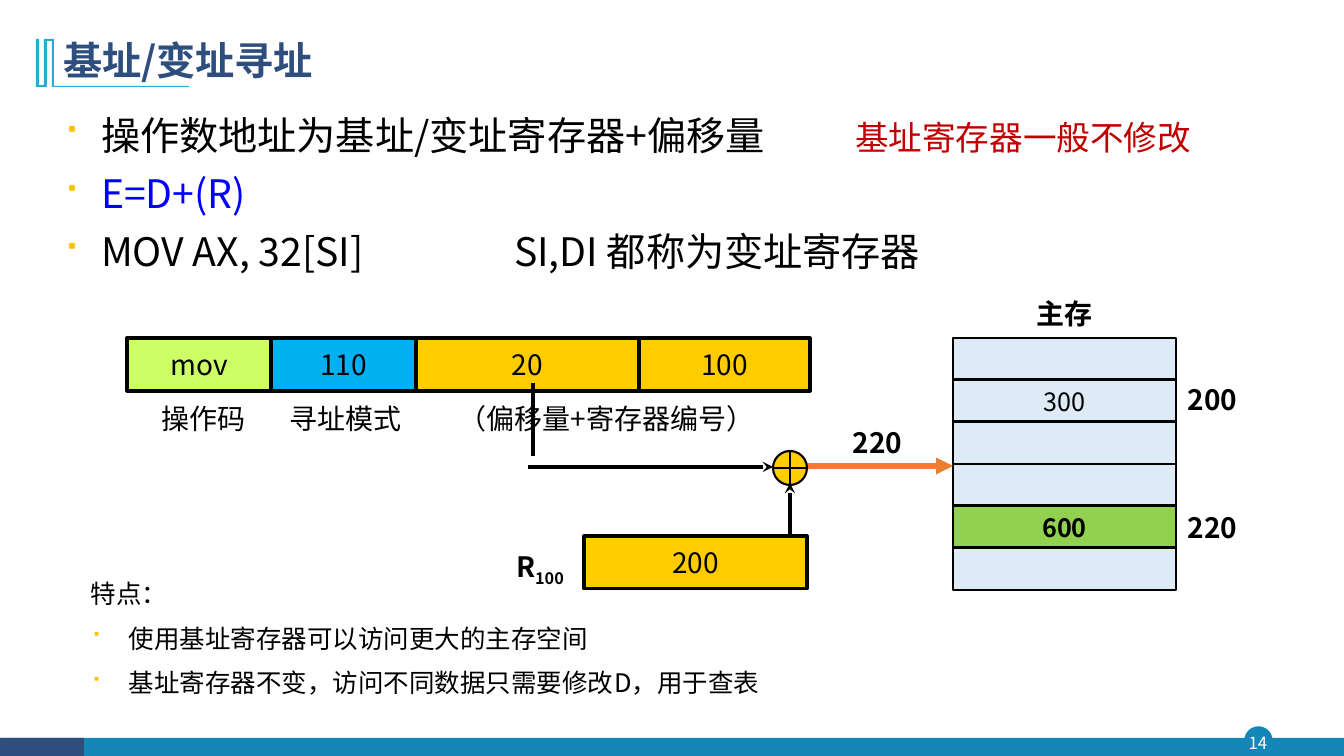
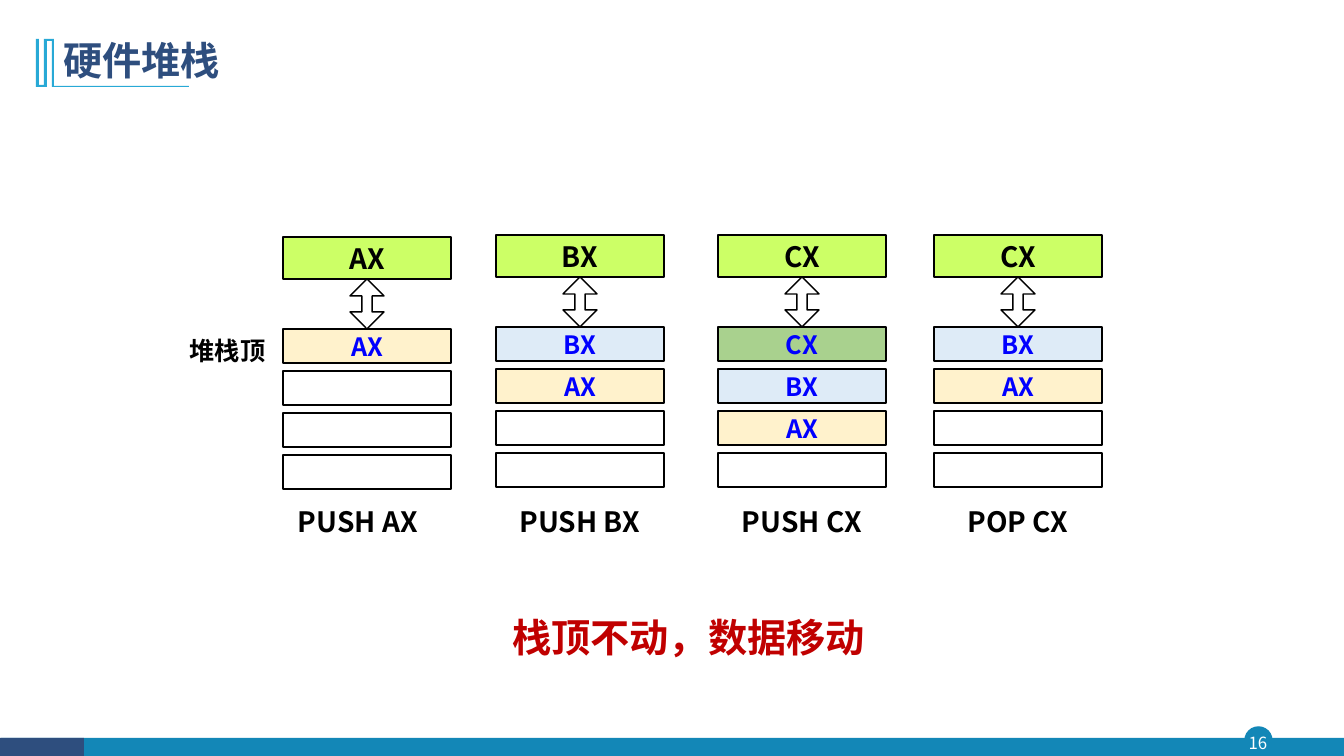
from lxml import etree
from pptx import Presentation
from pptx.dml.color import RGBColor
from pptx.enum.shapes import MSO_CONNECTOR, MSO_SHAPE
from pptx.enum.text import MSO_ANCHOR, MSO_AUTO_SIZE, PP_ALIGN
from pptx.oxml.ns import qn
from pptx.util import Emu, Pt

RECTANGLE = MSO_SHAPE.RECTANGLE
OVAL = MSO_SHAPE.OVAL
ADDER = MSO_SHAPE.FLOWCHART_OR
DOUBLE_ARROW = MSO_SHAPE.UP_DOWN_ARROW
STRAIGHT = MSO_CONNECTOR.STRAIGHT
MIDDLE, TOP = MSO_ANCHOR.MIDDLE, MSO_ANCHOR.TOP
LEFT, CENTER, JUSTIFY = PP_ALIGN.LEFT, PP_ALIGN.CENTER, PP_ALIGN.JUSTIFY
NO_AUTOFIT = MSO_AUTO_SIZE.NONE

FONT = "Noto Sans CJK SC"
TITLE_FONT = "Noto Sans CJK JP"
EMU_PER_PX = 914400 / 100.8
COLORS = {
    "black": "000000", "white": "FFFFFF", "teal": "1387B7", "navy": "2E4E7E",
    "sky": "28A9D6", "bullet": "FFC000", "red": "C00000", "blue": "0000FF",
    "lime": "CCFF66", "cyan": "00B0F0", "gold": "FFCC00", "pale": "DEEBF7",
    "green": "92D050", "orange": "ED7D31", "cream": "FFF2CC", "sage": "A9D18E",
}
ORNAMENT = [
    (54, 39), (54, 86), (189, 86), (189, 87), (52, 87), (52, 41), (47, 41),
    (47, 87), (36, 87), (36, 39), (39, 39), (39, 85), (44, 85), (44, 39),
]


def px(length):
    return Emu(round(length * EMU_PER_PX))


def color(name):
    return RGBColor.from_string(COLORS[name])


def add_child(parent, tag, **attributes):
    child = etree.SubElement(parent, qn(tag))
    for name, value in attributes.items():
        child.set(name, str(value))
    return child


def write(para, text, size=20, ink="black", bold=False, font=FONT, baseline=0):
    span = para.add_run()
    span.text = text
    span.font.size = Pt(size)
    span.font.bold = bold
    span.font.color.rgb = color(ink)
    span.font.name = font
    properties = span.font._element
    add_child(properties, "a:ea", typeface=font)
    if baseline:
        properties.set("baseline", str(baseline))


class SlideWriter:
    def __init__(self, deck):
        self.deck = deck
        self.page = None

    def start(self, layout, number, title, font=FONT):
        self.page = self.deck.slides.add_slide(self.deck.slide_layouts[layout])
        self.shape(OVAL, 1245, 727, 27, 27, "teal", "teal", 1)
        self.shape(RECTANGLE, 1, 738, 1343, 19, "teal")
        self.shape(RECTANGLE, 0, 738, 84, 19, "navy")
        self.label(number, 1242, 727, 32, 31, size=12, ink="white", anchor=MIDDLE, inset=0)
        self.ornament()
        box = self.page.shapes.title
        self.place(box, 53, 28, 1159, 69)
        frame = box.text_frame
        frame.vertical_anchor = MIDDLE
        frame.auto_size = NO_AUTOFIT
        para = frame.paragraphs[0]
        para.alignment = LEFT
        para.line_spacing = 0.9
        write(para, title, size=28, ink="navy", bold=True, font=font)

    def place(self, box, x, y, width, height):
        box.left, box.top, box.width, box.height = map(px, (x, y, width, height))

    def paint(self, shape, fill, line=None, weight=1):
        shape.shadow.inherit = False
        if fill:
            shape.fill.solid()
            shape.fill.fore_color.rgb = color(fill)
        else:
            shape.fill.background()
        if line:
            shape.line.color.rgb = color(line)
            shape.line.width = Pt(weight)
        else:
            shape.line.fill.background()

    def ornament(self):
        points = [(px(x), px(y)) for x, y in ORNAMENT]
        builder = self.page.shapes.build_freeform(*points[0])
        builder.add_line_segments(points[1:], close=True)
        self.paint(builder.convert_to_shape(), "sky")

    def shape(self, kind, x, y, width, height, fill, line=None, weight=1.5):
        shape = self.page.shapes.add_shape(kind, *map(px, (x, y, width, height)))
        self.paint(shape, fill, line, weight)
        return shape

    def cell(self, text, x, y, width, height, fill, weight=1.5, **style):
        box = self.shape(RECTANGLE, x, y, width, height, fill, "black", weight)
        if text:
            frame = box.text_frame
            frame.word_wrap = False
            frame.vertical_anchor = MIDDLE
            para = frame.paragraphs[0]
            para.alignment = CENTER
            write(para, text, **style)

    def label(self, text, x, y, width, height, anchor=TOP, inset=None, **style):
        box = self.page.shapes.add_textbox(*map(px, (x, y, width, height)))
        frame = box.text_frame
        frame.word_wrap = False
        frame.vertical_anchor = anchor
        if inset is not None:
            frame.margin_left = frame.margin_right = px(inset)
            frame.margin_top = frame.margin_bottom = px(inset)
        para = frame.paragraphs[0]
        para.alignment = CENTER
        write(para, text, **style)
        return para

    def line(self, x1, y1, x2, y2, ink="black", weight=2.5, arrow=None):
        line = self.page.shapes.add_connector(STRAIGHT, *map(px, (x1, y1, x2, y2)))
        line.line.color.rgb = color(ink)
        line.line.width = Pt(weight)
        if arrow:
            add_child(line.line._get_or_add_ln(), "a:tailEnd", type=arrow)
        add_child(line._element.spPr, "a:effectLst")

    def paragraphs(self, box, items, gap):
        frame = box.text_frame
        frame.word_wrap = True
        frame.auto_size = NO_AUTOFIT
        for index, (bulleted, tab, spans) in enumerate(items):
            para = frame.add_paragraph() if index else frame.paragraphs[0]
            properties = para._p.get_or_add_pPr()
            if bulleted:
                properties.set("marL", str(px(38)))
                properties.set("indent", str(-px(38)))
                add_child(add_child(properties, "a:buClr"), "a:srgbClr", val=COLORS["bullet"])
                add_child(properties, "a:buFont", typeface="Wingdings")
                add_child(properties, "a:buChar", char="■")
            if tab:
                add_child(add_child(properties, "a:tabLst"), "a:tab", pos=px(tab), algn="l")
            para.alignment = JUSTIFY
            para.line_spacing = 1.0
            para.space_before = Pt(gap if index else 0)
            for text, style in spans:
                write(para, text, **style)


def addressing(slide):
    slide.start(1, "14", "基址/变址寻址", font=TITLE_FONT)
    body = slide.page.placeholders[1]
    slide.place(body, 53, 106, 1254, 227)
    large = {"size": 28}
    slide.paragraphs(body, [
        (True, 792, [("操作数地址为基址/变址寄存器+偏移量\t", large),
                     ("基址寄存器一般不修改", {"size": 24, "ink": "red"})]),
        (True, None, [("E=D+(R)", {"size": 28, "ink": "blue"})]),
        (True, 451, [("MOV AX, 32[SI]\tSI,DI 都称为变址寄存器", large)]),
    ], gap=8)

    for text, x, width, fill in [("mov", 127, 144, "lime"), ("110", 271, 145, "cyan"),
                                 ("20", 416, 223, "gold"), ("100", 639, 171, "gold")]:
        slide.cell(text, x, 338, width, 53, fill, 2.25)
    for text, x, width in [("操作码", 152, 104), ("寻址模式", 279, 133),
                           ("（偏移量+寄存器编号）", 391, 431)]:
        slide.label(text, x, 397, width, 44)

    slide.label("主存", 1026, 292, 77, 44, bold=True)
    memory = [("", "pale"), ("300", "pale"), ("", "pale"), ("", "pale"),
              ("600", "green"), ("", "pale")]
    for row, (text, fill) in enumerate(memory):
        slide.cell(text, 953, 338 + 42 * row, 223, 42, fill, 2, size=18, bold=fill == "green")
    for text, x, y in [("200", 1176, 378), ("220", 1176, 506), ("220", 841, 421)]:
        slide.label(text, x, y, 73, 44, bold=True)

    slide.cell("200", 584, 536, 223, 53, "gold", 2.25)
    register = slide.label("R", 502, 545, 76, 44, bold=True)
    write(register, "100", bold=True, baseline=-25000)
    slide.line(804, 466, 953, 466, "orange", 4, "triangle")
    slide.line(790, 536, 790, 483, arrow="stealth")
    slide.shape(ADDER, 773, 451, 34, 34, "gold", "black")
    slide.line(533, 456, 533, 383)
    slide.line(528, 467, 773, 467, arrow="stealth")

    box = slide.page.shapes.add_textbox(*map(px, (81, 573, 962, 148)))
    small = {"size": 18.2}
    slide.paragraphs(box, [
        (False, None, [("特点：", small)]),
        (True, None, [("使用基址寄存器可以访问更大的主存空间", small)]),
        (True, None, [("基址寄存器不变，访问不同数据只需要修改D，用于查表", small)]),
    ], gap=10)


def stack(slide):
    slide.start(5, "16", "硬件堆栈")
    fills = {"AX": "cream", "BX": "pale", "CX": "sage", "": "white"}
    columns = [
        ("PUSH AX", 283, 237, 358, "AX", ["AX", "", "", ""]),
        ("PUSH BX", 496, 235, 580, "BX", ["BX", "AX", "", ""]),
        ("PUSH CX", 718, 235, 802, "CX", ["CX", "BX", "AX", ""]),
        ("POP CX", 934, 235, 1018, "CX", ["BX", "AX", "", ""]),
    ]
    for command, x, y, center, register, values in columns:
        slide.cell(register, x, y, 168, 42, "lime", bold=True)
        for row, value in enumerate(values):
            slide.cell(value, x, y + 92 + 42 * row, 168, 34, fills[value],
                       size=18, ink="blue", bold=True)
        arrow = slide.shape(DOUBLE_ARROW, x + 67, y + 42, 34, 50, None, "black", 1)
        arrow.adjustments[0] = 0.5
        arrow.adjustments[1] = 0.3
        slide.label(command, center - 80, 500, 160, 44, bold=True)
    slide.label("堆栈顶", 179, 330, 97, 40, size=18, bold=True)
    slide.label("栈顶不动，数据移动", 500, 608, 377, 57, size=28, ink="red", bold=True)


def main():
    deck = Presentation()
    deck.slide_width = px(1344)
    deck.slide_height = px(756)
    slide = SlideWriter(deck)
    addressing(slide)
    stack(slide)
    deck.save("out.pptx")


if __name__ == "__main__":
    main()
